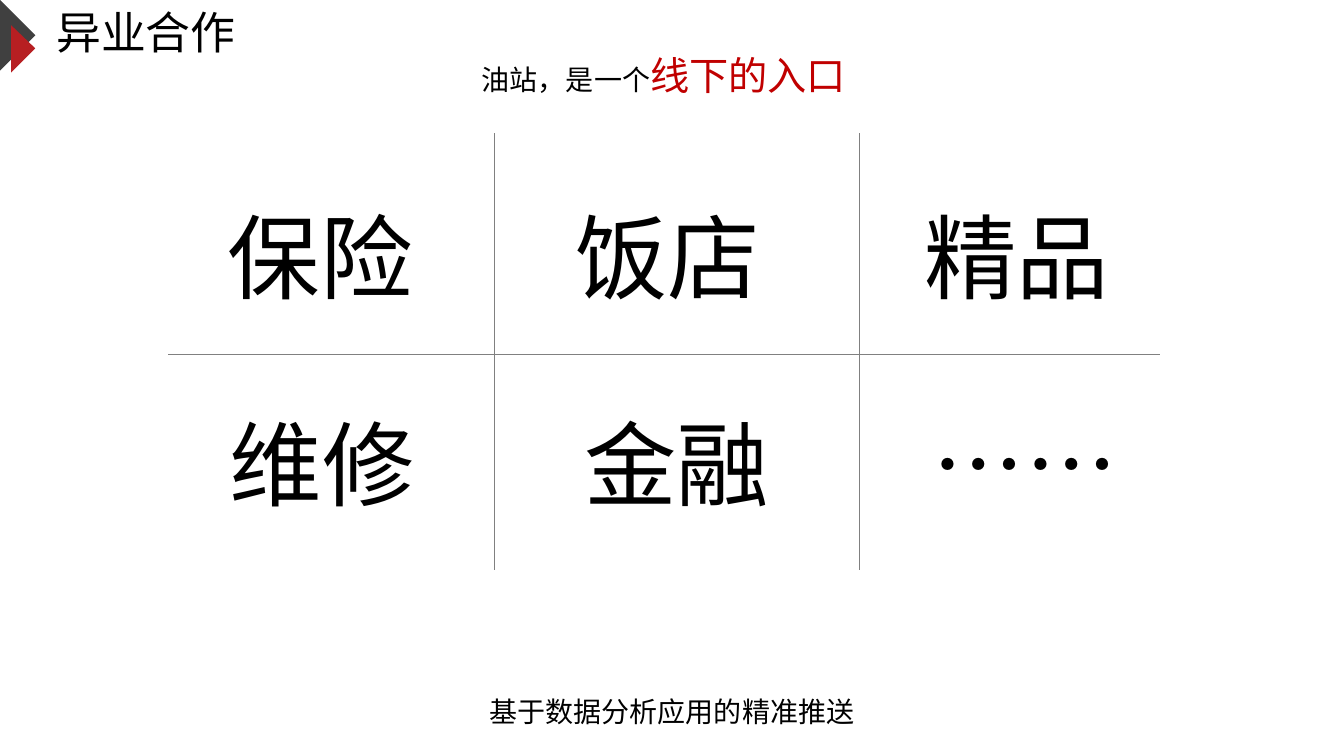
from pptx import Presentation
from pptx.dml.color import RGBColor
from pptx.enum.shapes import MSO_CONNECTOR
from pptx.enum.text import MSO_ANCHOR, PP_ALIGN
from pptx.oxml.ns import qn
from pptx.util import Inches, Pt
from lxml import etree

LEFT, CENTER = PP_ALIGN.LEFT, PP_ALIGN.CENTER
MIDDLE = MSO_ANCHOR.MIDDLE
STRAIGHT = MSO_CONNECTOR.STRAIGHT
BLACK = RGBColor(0x00, 0x00, 0x00)
RED = RGBColor(0xC0, 0x00, 0x00)
GRAY = RGBColor(0x80, 0x80, 0x80)
DARK = RGBColor(0x40, 0x40, 0x40)
CRIMSON = RGBColor(0xB7, 0x1F, 0x22)
FONT = "Noto Sans CJK SC"

TITLE = [("异业合作", 32, BLACK)]
SUBTITLE = [("油站，是一个", 20, BLACK), ("线下的入口", 28, RED)]
FOOTER = [("基于数据分析应用的精准推送", 20, BLACK)]
PARTNERS = [
    [("保险", 2.16, 2.2, LEFT), ("饭店", 5.61, 2.2, LEFT), ("精品", 9.07, 3.91, LEFT)],
    [("维修", 2.18, 2.2, LEFT), ("金融", 5.61, 2.2, CENTER), ("……", 9.07, 2.2, CENTER)],
]
ROW_TOPS = [1.93, 3.98]
ROW_HEIGHT = 1.21
GRID_LEFT, GRID_RIGHT, GRID_TOP, GRID_BOTTOM = 1.67, 11.51, 1.32, 5.65
COLUMN_LINES = [4.9, 8.52]
ROW_LINE = 3.52
MARKERS = [
    ([(0, 0), (0.35, 0.35), (0, 0.7)], DARK),
    ([(0.11, 0.25), (0.35, 0.48), (0.11, 0.72)], CRIMSON),
]


def add_marker(page, points, color):
    corners = [(Inches(x), Inches(y)) for x, y in points]
    builder = page.shapes.build_freeform(*corners[0], scale=1.0)
    builder.add_line_segments(corners[1:], close=True)
    marker = builder.convert_to_shape()
    marker.shadow.inherit = False
    marker.fill.solid()
    marker.fill.fore_color.rgb = color
    marker.line.fill.background()


def add_rule(page, *ends):
    rule = page.shapes.add_connector(STRAIGHT, *map(Inches, ends))
    rule.line.color.rgb = GRAY
    rule.line.width = Pt(0.5)
    etree.SubElement(rule._element.spPr, qn("a:effectLst"))


def add_text(page, place, spans, **formats):
    box = page.shapes.add_textbox(*map(Inches, place))
    frame = box.text_frame
    frame.word_wrap = True
    frame.vertical_anchor = MIDDLE
    para = frame.paragraphs[0]
    for name, value in formats.items():
        setattr(para, name, value)
    for text, size, color in spans:
        span = para.add_run()
        span.text = text
        for name, value in {"size": Pt(size), "name": FONT}.items():
            setattr(span.font, name, value)
        span.font.color.rgb = color
        east_asian = etree.SubElement(span.font._element, qn("a:ea"))
        east_asian.set("typeface", FONT)


def main():
    deck = Presentation()
    deck.slide_width, deck.slide_height = Inches(13.33), Inches(7.5)
    page = deck.slides.add_slide(deck.slide_layouts[6])
    for points, color in MARKERS:
        add_marker(page, points, color)
    add_text(page, (0.46, 0.09, 9.37, 0.52), TITLE, line_spacing=0.9)
    for x in COLUMN_LINES:
        add_rule(page, x, GRID_TOP, x, GRID_BOTTOM)
    add_rule(page, GRID_LEFT, ROW_LINE, GRID_RIGHT, ROW_LINE)
    for top, row in zip(ROW_TOPS, PARTNERS):
        for text, left, width, align in row:
            add_text(page, (left, top, width, ROW_HEIGHT), [(text, 66, BLACK)],
                     alignment=align, space_before=Pt(6), space_after=Pt(6))
    add_text(page, (1.28, 6.84, 10.77, 0.44), FOOTER, alignment=CENTER)
    add_text(page, (1.2, 0.46, 10.77, 0.57), SUBTITLE, alignment=CENTER)
    deck.save("out.pptx")


if __name__ == "__main__":
    main()
